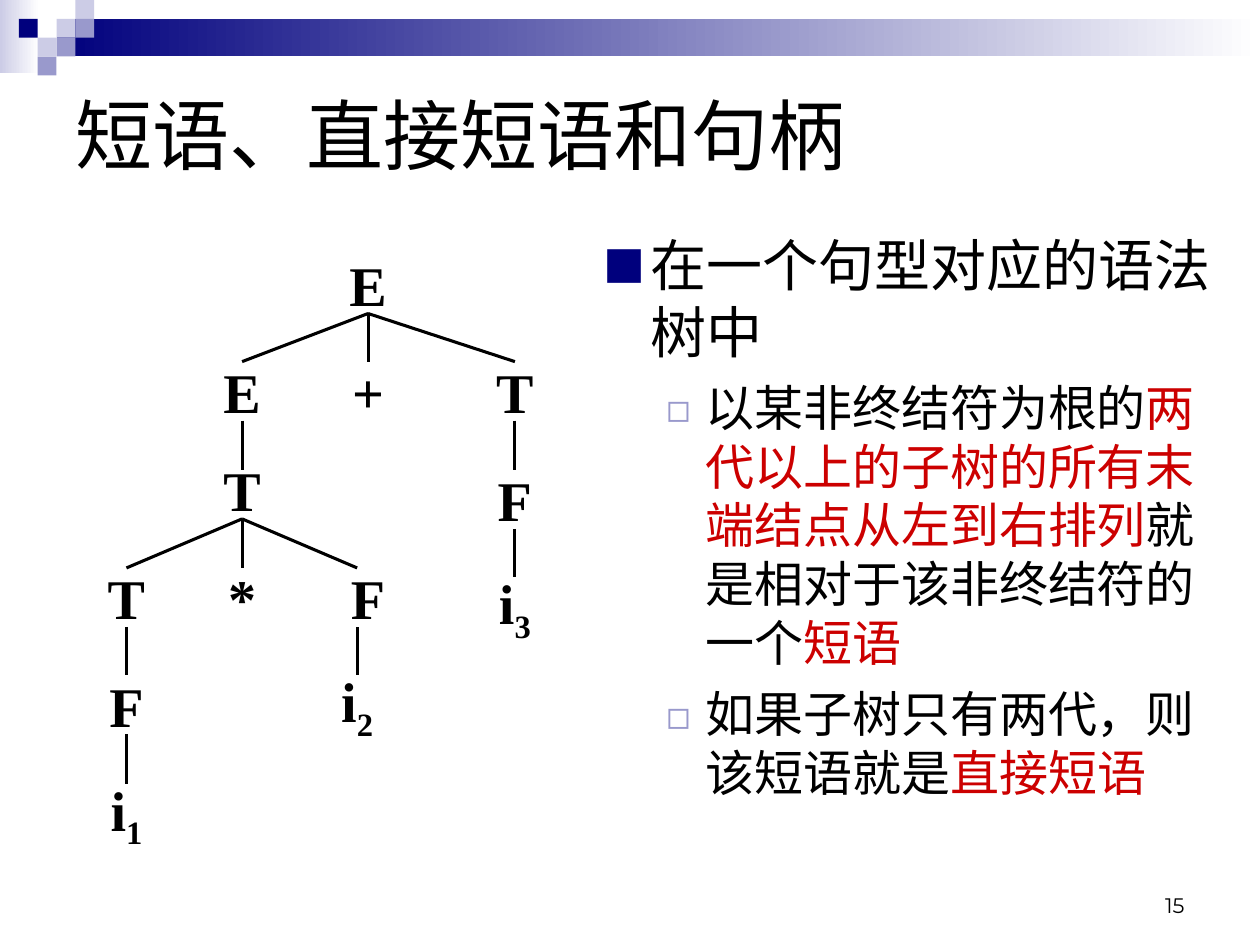
"""Build a slide on phrases, direct phrases and handles with a syntax tree."""
from lxml import etree
from pptx import Presentation, util as u
from pptx.dml.color import RGBColor
from pptx.enum import shapes, text
from pptx.oxml import ns

BLACK, RED, NAVY, LILAC, PALE, WHITE = "000000", "CC0000", "00007D", "9999CC", "CCCCE6", "FFFFFF"
SERIF, SANS, CJK = "Times New Roman", "Arial", "Noto Sans CJK SC"

TITLE = "短语、直接短语和句柄"
POINTS = [
    (0, [("在一个句型对应的语法树中", BLACK)]),
    (1, [("以某非终结符为根的", BLACK),
         ("两代以上的子树的所有末端结点从左到右排列", RED),
         ("就是相对于该非终结符的一个", BLACK), ("短语", RED)]),
    (1, [("如果子树只有两代，则该短语就是", BLACK), ("直接短语", RED)]),
]
LEVELS = [
    dict(size=32, before=8, margin=0.95, hang=0.95, mark="■", colour=NAVY, percent=75),
    dict(size=28, before=7, margin=2.06, hang=0.79, mark="◻", colour=LILAC, percent=80),
]
BANDS = [(0, 0, 0.79, 1.47, PALE, WHITE), (1.14, 0.38, 24.26, 0.76, NAVY, WHITE)]
TILE = 0.38
TILES = [(3, 1, PALE), (4, 0, PALE), (4, 1, LILAC), (2, 2, PALE),
         (1, 1, NAVY), (3, 2, LILAC), (2, 3, LILAC)]

NODE_W, NODE_H = 1.7, 1.19
NODES = {
    "root": ("E", "", 7.42, 5.13),
    "left E": ("E", "", 4.88, 7.29), "plus": ("+", "", 7.42, 7.29), "right T": ("T", "", 10.38, 7.29),
    "left T": ("T", "", 4.88, 9.27), "right F": ("F", "", 10.38, 9.47),
    "low T": ("T", "", 2.55, 11.45), "times": ("*", "", 4.88, 11.45),
    "mid F": ("F", "", 7.42, 11.45), "i3": ("i", "3", 10.38, 11.63),
    "low F": ("F", "", 2.55, 13.61), "i2": ("i", "2", 7.2, 13.61), "i1": ("i", "1", 2.55, 15.8),
}
BRANCHES = {
    "root": ["left E", "plus", "right T"], "left E": ["left T"],
    "left T": ["low T", "times", "mid F"], "right T": ["right F"], "right F": ["i3"],
    "low T": ["low F"], "low F": ["i1"], "mid F": ["i2"],
}
START_SHIFT = {"mid F": (-0.22, 0)}
END_SHIFT = {"left T": (0, 0.2), "mid F": (-0.22, 0)}


def rgb(code):
    return RGBColor.from_string(code)


def place(part, *box):
    part.left, part.top, part.width, part.height = map(u.Cm, box)


def style(run, size, face, colour=BLACK, bold=False):
    run.font.size, run.font.name, run.font.bold = u.Pt(size), face, bold
    run.font.color.rgb = rgb(colour)
    etree.SubElement(run.font._element, ns.qn("a:ea"), typeface=face)


def add_block(slide, box, first, last=None):
    block = slide.shapes.add_shape(shapes.MSO_SHAPE.RECTANGLE, *map(u.Cm, box))
    block.shadow.inherit = False
    block.line.fill.background()
    if last is None:
        block.fill.solid()
        block.fill.fore_color.rgb = rgb(first)
        return
    block.fill.gradient()
    block.fill.gradient_angle = 0
    for stop, code in zip(block.fill.gradient_stops, (first, last)):
        stop.color.rgb = rgb(code)


def add_label(slide, box, align, anchor, pieces, size, face, bold):
    label = slide.shapes.add_textbox(*map(u.Cm, box))
    frame = label.text_frame
    frame.word_wrap, frame.vertical_anchor = False, anchor
    line = frame.paragraphs[0]
    line.alignment = align
    for piece in filter(None, pieces):
        run = line.add_run()
        run.text = piece
        style(run, size, face, bold=bold)
    return label


def set_bullet(line, size, before, margin, hang, mark, colour, percent):
    line.space_before = u.Pt(before)
    props = line._p.get_or_add_pPr()
    props.set("marL", str(u.Cm(margin)))
    props.set("indent", str(-u.Cm(hang)))
    tint = etree.SubElement(props, ns.qn("a:buClr"))
    etree.SubElement(tint, ns.qn("a:srgbClr"), val=colour)
    etree.SubElement(props, ns.qn("a:buSzPct"), val=str(percent * 1000))
    etree.SubElement(props, ns.qn("a:buFont"), typeface=CJK)
    etree.SubElement(props, ns.qn("a:buChar"), char=mark)


def add_points(body):
    place(body, 11.91, 4.52, 12.8, 13.26)
    frame = body.text_frame
    frame.auto_size = text.MSO_AUTO_SIZE.NONE
    for index, (level, pieces) in enumerate(POINTS):
        line = frame.add_paragraph() if index else frame.paragraphs[0]
        line.level = level
        set_bullet(line, **LEVELS[level])
        for words, colour in pieces:
            run = line.add_run()
            run.text = words
            style(run, LEVELS[level]["size"], CJK, colour)


def add_branch(slide, labels, parent, child):
    start, end = START_SHIFT.get(parent, (0, 0)), END_SHIFT.get(child, (0, 0))
    x1, y1 = NODES[parent][2:]
    x2, y2 = NODES[child][2:]
    ends = (x1 + start[0], y1 + NODE_H + start[1], x2 + end[0], y2 + end[1])
    branch = slide.shapes.add_connector(shapes.MSO_CONNECTOR.STRAIGHT, *map(u.Cm, ends))
    if start == (0, 0):
        branch.begin_connect(labels[parent], 2)
    if end == (0, 0):
        branch.end_connect(labels[child], 0)
    branch.line.color.rgb, branch.line.width = rgb(BLACK), u.Pt(1.75)
    etree.SubElement(branch._element.spPr, ns.qn("a:effectLst"))


def add_tree(slide):
    labels = {}
    for name, (symbol, index, centre, top) in NODES.items():
        labels[name] = add_label(slide, (centre - NODE_W / 2, top, NODE_W, NODE_H),
                                 text.PP_ALIGN.CENTER, text.MSO_ANCHOR.MIDDLE,
                                 (symbol, index), 32, SERIF, True)
        for run in labels[name].text_frame.paragraphs[0].runs[1:]:
            run.font._element.set("baseline", "-25000")
    for parent, children in BRANCHES.items():
        for child in children:
            add_branch(slide, labels, parent, child)


def main():
    deck = Presentation()
    deck.slide_width, deck.slide_height = u.Cm(25.4), u.Cm(19.05)
    slide = deck.slides.add_slide(deck.slide_layouts[1])
    for *box, first, last in BANDS:
        add_block(slide, box, first, last)
    for column, row, colour in TILES:
        add_block(slide, (column * TILE, row * TILE, TILE, TILE), colour)

    title = slide.shapes.title
    place(title, 1.27, 1.27, 22.86, 2.86)
    title.text_frame.text = TITLE
    title.text_frame.auto_size = text.MSO_AUTO_SIZE.NONE
    title.text_frame.vertical_anchor = text.MSO_ANCHOR.MIDDLE
    heading = title.text_frame.paragraphs[0]
    heading.alignment = text.PP_ALIGN.LEFT
    style(heading.runs[0], 44, SANS)

    add_points(slide.placeholders[1])
    add_tree(slide)
    add_label(slide, (18.2, 17.35, 5.93, 1.27), text.PP_ALIGN.RIGHT, text.MSO_ANCHOR.BOTTOM,
              ("15",), 12, "Montserrat", False)
    deck.save("out.pptx")


if __name__ == "__main__":
    main()
